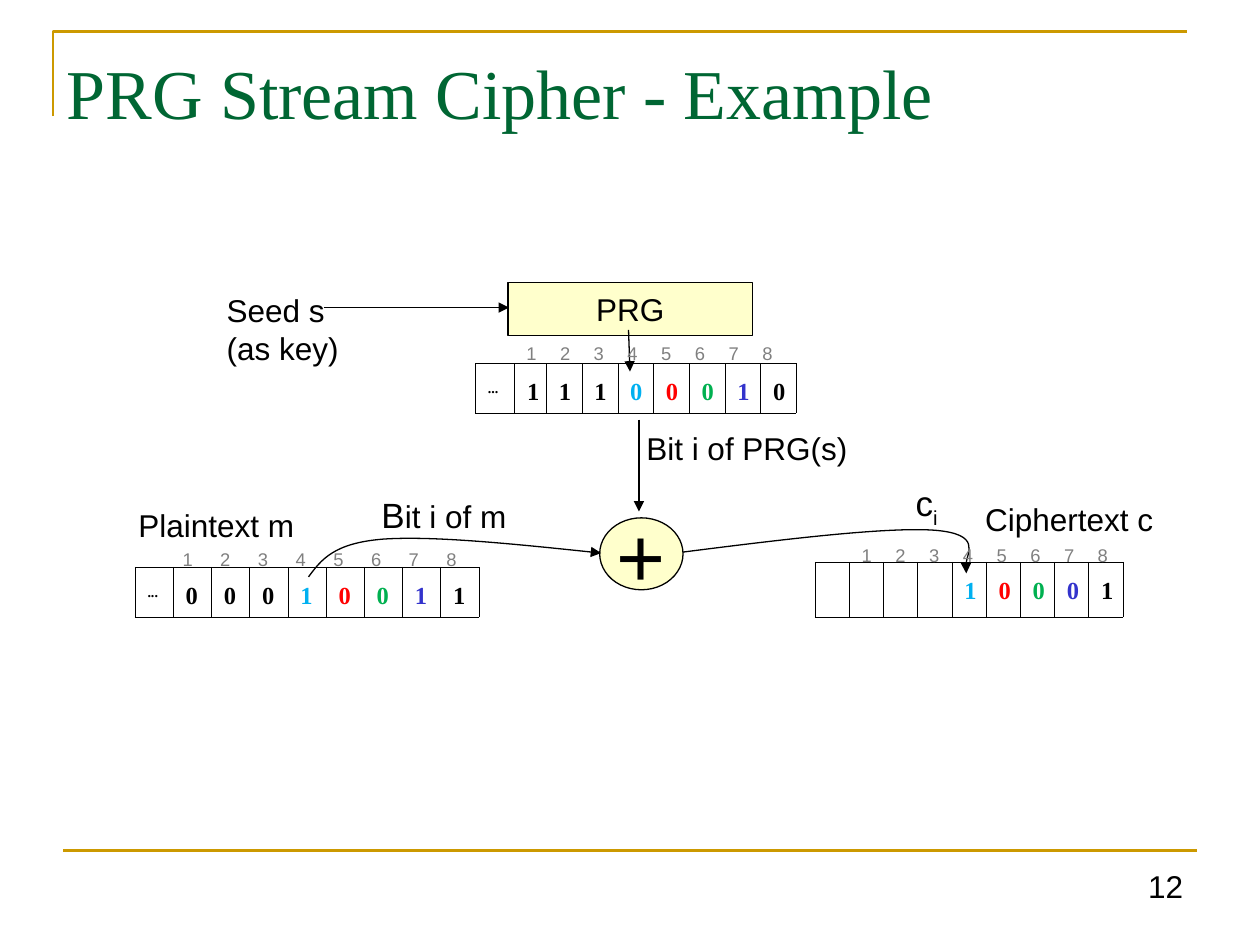
import pptx
import pptx.dml.color
import pptx.enum.shapes
import pptx.enum.text
import pptx.oxml
import pptx.oxml.ns
import pptx.util
from pptx.util import Cm

SHAPE = pptx.enum.shapes.MSO_SHAPE
ANCHOR = pptx.enum.text.MSO_ANCHOR
ALIGN = pptx.enum.text.PP_ALIGN
NS = pptx.oxml.ns.nsdecls("a")
qn = pptx.oxml.ns.qn

BLACK, GOLD, GREEN, CREAM, GRAY = "000000", "CC9900", "006633", "FFFFCC", "808080"
BIT_COLORS = [BLACK] * 4 + ["00B0F0", "FF0000", "00B050", "3333CC", BLACK]


def color(value):
    return pptx.dml.color.RGBColor.from_string(value)


def element(xml):
    return pptx.oxml.parse_xml(xml)


class Diagram:
    sans, serif = "Arial", "Times New Roman"

    def __init__(self, slide):
        self.slide = slide
        self.shapes = slide.shapes

    def format(self, paragraph, size, ink=BLACK, font=None, bold=False):
        for run in paragraph.runs:
            run.font.size = pptx.util.Pt(size)
            run.font.name = font or self.sans
            run.font.bold = bold
            run.font.color.rgb = color(ink)

    def stroke(self, shape, ink=BLACK, width=0.75, arrow=False):
        shape.line.color.rgb = color(ink)
        shape.line.width = pptx.util.Pt(width)
        if arrow:
            shape.line._get_or_add_ln().append(element(f'<a:tailEnd {NS} type="triangle"/>'))

    def title(self, text, x, y, w, h):
        title = self.shapes.title
        title.left, title.top, title.width, title.height = Cm(x), Cm(y), Cm(w), Cm(h)
        title.text_frame.text = text
        title.text_frame.vertical_anchor = ANCHOR.MIDDLE
        paragraph = title.text_frame.paragraphs[0]
        paragraph.alignment = ALIGN.LEFT
        self.format(paragraph, 40, GREEN, self.serif)

    def label(self, text, x, y, w, h, size=18, ink=BLACK, wrap=False):
        box = self.shapes.add_textbox(Cm(x), Cm(y), Cm(w), Cm(h))
        frame = box.text_frame
        frame.text = text
        frame.word_wrap = wrap
        frame.auto_size = pptx.enum.text.MSO_AUTO_SIZE.SHAPE_TO_FIT_TEXT
        for paragraph in frame.paragraphs:
            self.format(paragraph, size, ink)
        return frame.paragraphs[0]

    def split_label(self, first, rest, x, y, w, h, wrap=False):
        paragraph = self.label(first, x, y, w, h, 20, wrap=wrap)
        paragraph.add_run().text = rest
        self.format(paragraph, 20)
        return paragraph.runs[1].font

    def block(self, kind, text, x, y, w, h, size):
        block = self.shapes.add_shape(kind, Cm(x), Cm(y), Cm(w), Cm(h))
        block.shadow.inherit = False
        block.fill.solid()
        block.fill.fore_color.rgb = color(CREAM)
        self.stroke(block)
        frame = block.text_frame
        frame.text = text
        frame.word_wrap = False
        frame.vertical_anchor = ANCHOR.MIDDLE
        frame.paragraphs[0].alignment = ALIGN.CENTER
        self.format(frame.paragraphs[0], size)

    def line(self, x1, y1, x2, y2, **style):
        line = self.shapes.add_connector(
            pptx.enum.shapes.MSO_CONNECTOR.STRAIGHT, Cm(x1), Cm(y1), Cm(x2), Cm(y2))
        self.stroke(line, **style)
        line._element.spPr.append(element(f"<a:effectLst {NS}/>"))

    def outline(self, points, **style):
        start, *others = [(Cm(x), Cm(y)) for x, y in points]
        builder = self.shapes.build_freeform(*start)
        builder.add_line_segments(others, close=False)
        outline = builder.convert_to_shape()
        outline.shadow.inherit = False
        outline.fill.background()
        self.stroke(outline, **style)
        return outline

    def curve(self, points):
        curve = self.outline(points, arrow=True)
        segments = list(curve._element.iter(qn("a:lnTo")))
        for first in range(0, len(segments), 3):
            bezier = element(f"<a:cubicBezTo {NS}/>")
            segments[first].addprevious(bezier)
            for segment in segments[first:first + 3]:
                bezier.append(segment[0])
                segment.getparent().remove(segment)

    def borders(self, cell, is_first, is_last):
        widths = {"L": 0.11 if is_first else 0.06, "R": 0.11 if is_last else 0.06,
                  "T": 0.11, "B": 0.11}
        properties = cell._tc.get_or_add_tcPr()
        for place, (side, width) in enumerate(widths.items()):
            properties.insert(place, element(
                f'<a:ln{side} {NS} w="{pptx.util.Pt(width)}"><a:solidFill>'
                f'<a:srgbClr val="{BLACK}"/></a:solidFill></a:ln{side}>'))

    def bits(self, values, x, y, widths, height=1):
        table = self.shapes.add_table(
            1, len(values), Cm(x), Cm(y), Cm(sum(widths)), Cm(height)).table
        table.first_row = table.horz_banding = False
        table.rows[0].height = Cm(height)
        for i, (value, width, ink) in enumerate(zip(values, widths, BIT_COLORS)):
            table.columns[i].width = Cm(width)
            cell = table.cell(0, i)
            cell.fill.background()
            self.borders(cell, i == 0, i == len(values) - 1)
            if value:
                cell.margin_top = Cm(0.41)
                cell.text_frame.text = value
                paragraph = cell.text_frame.paragraphs[0]
                paragraph.line_spacing = 0.8
                self.format(paragraph, 8 if value == "..." else 14, ink, self.serif, True)

    def positions(self, x, y, w, step):
        paragraph = self.label("\t".join("12345678"), x, y, w, 0.71, 10.5, GRAY, wrap=True)
        stops = "".join(f'<a:tab pos="{Cm(step * i)}" algn="l"/>' for i in range(1, 8))
        paragraph._p.get_or_add_pPr().append(element(f"<a:tabLst {NS}>{stops}</a:tabLst>"))


def main():
    deck = pptx.Presentation()
    deck.slide_width, deck.slide_height = Cm(25.4), Cm(19.05)
    cipher = Diagram(deck.slides.add_slide(deck.slide_layouts[5]))

    cipher.outline([(1.07, 2.34), (1.07, 0.64), (23.93, 0.64)], ink=GOLD, width=1.5)
    cipher.line(1.27, 17.15, 24.13, 17.15, ink=GOLD, width=1.5)
    cipher.label("12", 22.63, 17.35, 1.47, 1.24, wrap=True).alignment = ALIGN.RIGHT
    cipher.title("PRG Stream Cipher - Example", 1.09, 0.76, 23.93, 2.16)

    cipher.block(SHAPE.OVAL, "+", 12.09, 10.44, 1.68, 1.45, 48)
    cipher.curve([(6.22, 11.63), (6.48, 11.28), (6.73, 10.95), (7.72, 10.87),
                  (8.71, 10.8), (10.41, 10.97), (12.12, 11.15)])
    cipher.curve([(13.77, 11.13), (15.82, 10.87), (17.88, 10.62), (18.85, 10.69),
                  (19.79, 10.77), (19.38, 11.43), (19.48, 11.56)])
    cipher.line(12.88, 8.46, 12.88, 10.31, arrow=True)

    cipher.label("Plaintext m", 2.54, 10.08, 3.68, 1.04)
    cipher.label("Ciphertext c", 19.61, 9.96, 3.94, 1.04)
    cipher.label("Seed s\n(as key)", 4.32, 5.74, 2.79, 1.8)
    cipher.block(SHAPE.RECTANGLE, "PRG", 10.24, 5.69, 4.93, 1.07, 18)
    cipher.line(6.53, 6.2, 10.26, 6.2, arrow=True)
    cipher.line(12.67, 6.65, 12.7, 7.49, arrow=True)
    cipher.label("Bit i of PRG(s)", 12.78, 8.53, 4.6, 1.04)
    cipher.split_label("B", "it i of m", 7.44, 9.83, 4.62, 1.12, wrap=True).size = pptx.util.Pt(18)
    subscript = cipher.split_label("c", "i", 18.21, 9.58, 0.97, 1.12)
    subscript._element.set("baseline", "-25000")

    cipher.bits(["...", *"00010011"], 2.72, 11.43, [0.77] * 9)
    cipher.positions(3.43, 10.92, 6.17, 0.76)
    cipher.bits(["...", *"11100010"], 9.58, 7.32, [0.79, 0.64] + [0.72] * 7)
    cipher.positions(10.36, 6.78, 5.66, 0.68)
    cipher.bits([""] * 4 + [*"10001"], 16.43, 11.33, [0.69] * 9, height=1.11)
    cipher.positions(17.12, 10.85, 5.66, 0.68)

    deck.save("out.pptx")


if __name__ == "__main__":
    main()
